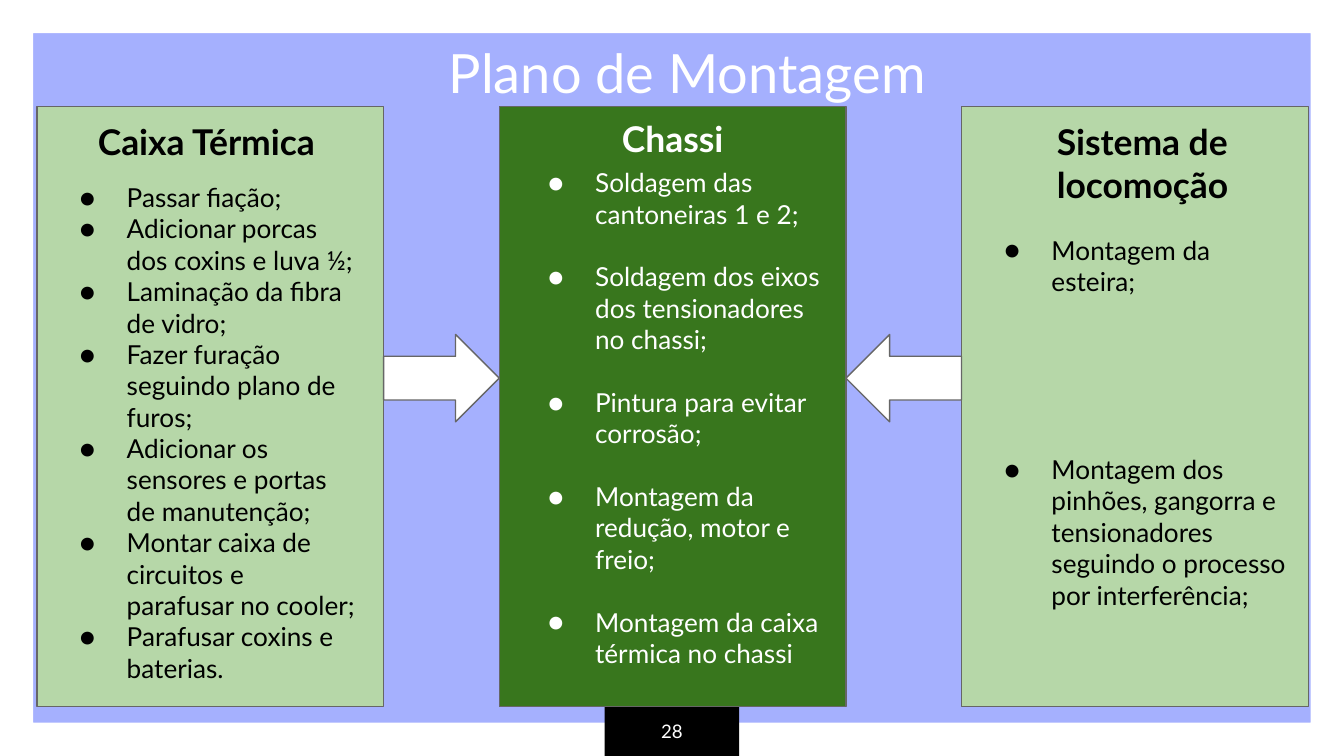
from dataclasses import dataclass
from typing import NamedTuple

from lxml.etree import SubElement
from pptx import Presentation
from pptx.dml.color import RGBColor as Rgb
from pptx.enum.shapes import MSO_SHAPE as Preset
from pptx.enum.text import MSO_ANCHOR as Anchor, PP_ALIGN as Align
from pptx.oxml.ns import qn
from pptx.util import Inches, Pt


@dataclass(frozen=True)
class Theme:
    font: str = "Lato"
    backdrop: str = "A5B0FE"
    white: str = "FFFFFF"
    black: str = "000000"
    pale: str = "B6D7A8"
    deep: str = "38761D"
    outline: str = "666666"
    title: int = 29
    heading: int = 19
    body: int = 14
    number: int = 10


class Area(NamedTuple):
    left: float
    top: float
    width: float
    height: float


class Step(NamedTuple):
    text: str
    gap_lines: int = 0


@dataclass(frozen=True)
class Stage:
    heading: str
    heading_area: Area
    steps: list[Step]
    steps_area: Area
    fill: str
    ink: str


THEME = Theme()
WIDTH = Inches(10)
HEIGHT = WIDTH * 9 // 16
LINE = 1.2 * THEME.body
FIRST_LEFT, PITCH, STAGE_WIDTH = 2.75, 34.4, 25.8
STAGE_TOP, STAGE_HEIGHT = 14.1, 79.4
ARROW_TOP, ARROW_HEIGHT = 44.25, 11.56

STAGES = [
    Stage(
        "Caixa Térmica", Area(6.3, 14.04, 21.2, 8.53),
        [
            Step("Passar fiação;"),
            Step("Adicionar porcas dos coxins e luva ½;"),
            Step("Laminação da fibra de vidro;"),
            Step("Fazer furação seguindo plano de furos;"),
            Step("Adicionar os sensores e portas de manutenção;"),
            Step("Montar caixa de circuitos e parafusar no cooler;"),
            Step("Parafusar coxins e baterias."),
        ],
        Area(3.45, 22.22, 24, 71.29), THEME.pale, THEME.black,
    ),
    Stage(
        "Chassi", Area(45.3, 13.65, 10, 8.53),
        [
            Step("Soldagem das cantoneiras 1 e 2;"),
            Step("Soldagem dos eixos dos tensionadores no chassi;", 1),
            Step("Pintura para evitar corrosão;", 1),
            Step("Montagem da redução, motor e freio;", 1),
            Step("Montagem da caixa térmica no chassi", 1),
        ],
        Area(38.3, 20.27, 24, 71.29), THEME.deep, THEME.white,
    ),
    Stage(
        "Sistema de locomoção", Area(77.65, 14.1, 19.7, 14.93),
        [
            Step("Montagem da esteira;"),
            Step("Montagem dos pinhões, gangorra e tensionadores "
                 "seguindo o processo por interferência;", 5),
        ],
        Area(72.25, 29.16, 25.1, 62.58), THEME.pale, THEME.black,
    ),
]


def place(area: Area) -> list[int]:
    return [round(share * side / 100)
            for share, side in zip(area, (WIDTH, HEIGHT) * 2)]


def add_block(slide, preset, area: Area, fill: str, outlined: bool = False):
    block = slide.shapes.add_shape(preset, *place(area))
    block.shadow.inherit = False
    block.fill.solid()
    block.fill.fore_color.rgb = Rgb.from_string(fill)
    if outlined:
        block.line.color.rgb = Rgb.from_string(THEME.outline)
        block.line.width = Pt(0.75)
    else:
        block.line.fill.background()
    return block


def add_bullet(paragraph, ink: str) -> None:
    props = paragraph._p.get_or_add_pPr()
    props.set("marL", str(Inches(0.5)))
    props.set("indent", str(Inches(-0.35)))
    SubElement(SubElement(props, qn("a:buClr")), qn("a:srgbClr"), val=ink)
    SubElement(props, qn("a:buSzPts"), val=str(THEME.body * 100))
    SubElement(props, qn("a:buFont"), typeface=THEME.font)
    SubElement(props, qn("a:buChar"), char="●")


def add_text(slide, area: Area, steps: list[Step], size: int, ink: str,
             bold: bool = False, align=Align.LEFT, anchor=Anchor.TOP,
             bulleted: bool = False) -> None:
    frame = slide.shapes.add_textbox(*place(area)).text_frame
    frame.word_wrap = True
    frame.vertical_anchor = anchor
    frame.margin_left = frame.margin_right = Inches(0.1)
    frame.margin_top = frame.margin_bottom = Inches(0.1)
    for index, step in enumerate(steps):
        paragraph = frame.add_paragraph() if index else frame.paragraphs[0]
        paragraph.text = step.text
        paragraph.alignment = align
        if step.gap_lines:
            paragraph.space_before = Pt(step.gap_lines * LINE)
        if bulleted:
            add_bullet(paragraph, ink)
        font = paragraph.font
        font.name, font.size, font.bold = THEME.font, Pt(size), bold
        font.color.rgb = Rgb.from_string(ink)


def add_arrow(slide, gap: int) -> None:
    left = FIRST_LEFT + gap * PITCH + STAGE_WIDTH
    area = Area(left, ARROW_TOP, PITCH - STAGE_WIDTH, ARROW_HEIGHT)
    arrow = add_block(slide, Preset.RIGHT_ARROW, area, THEME.white, True)
    if gap:
        arrow._element.spPr.find(qn("a:xfrm")).set("flipH", "1")


def main() -> None:
    deck = Presentation()
    deck.slide_width, deck.slide_height = WIDTH, HEIGHT
    slide = deck.slides.add_slide(deck.slide_layouts[6])
    backdrop = slide.background.fill
    backdrop.solid()
    backdrop.fore_color.rgb = Rgb.from_string(THEME.backdrop)

    border = add_block(slide, Preset.FRAME, Area(0, 0, 100, 100), THEME.white)
    border.adjustments[0] = 0.044
    tab = add_block(slide, Preset.RECTANGLE, Area(48.15, 87.82, 3.7, 17.78),
                    THEME.black)
    tab.rotation = 270
    add_text(slide, Area(45, 93.42, 10, 6.58), [Step("28")], THEME.number,
             THEME.white, align=Align.CENTER, anchor=Anchor.MIDDLE)
    add_text(slide, Area(5, 3.45, 92.3, 14.93), [Step("Plano de Montagem")],
             THEME.title, THEME.white, align=Align.CENTER)

    for index, stage in enumerate(STAGES):
        area = Area(FIRST_LEFT + index * PITCH, STAGE_TOP,
                    STAGE_WIDTH, STAGE_HEIGHT)
        add_block(slide, Preset.RECTANGLE, area, stage.fill, True)
    for gap in range(len(STAGES) - 1):
        add_arrow(slide, gap)
    for stage in STAGES:
        add_text(slide, stage.heading_area, [Step(stage.heading)],
                 THEME.heading, stage.ink, bold=True)
        add_text(slide, stage.steps_area, stage.steps,
                 THEME.body, stage.ink, bulleted=True)

    deck.save("out.pptx")


if __name__ == "__main__":
    main()
